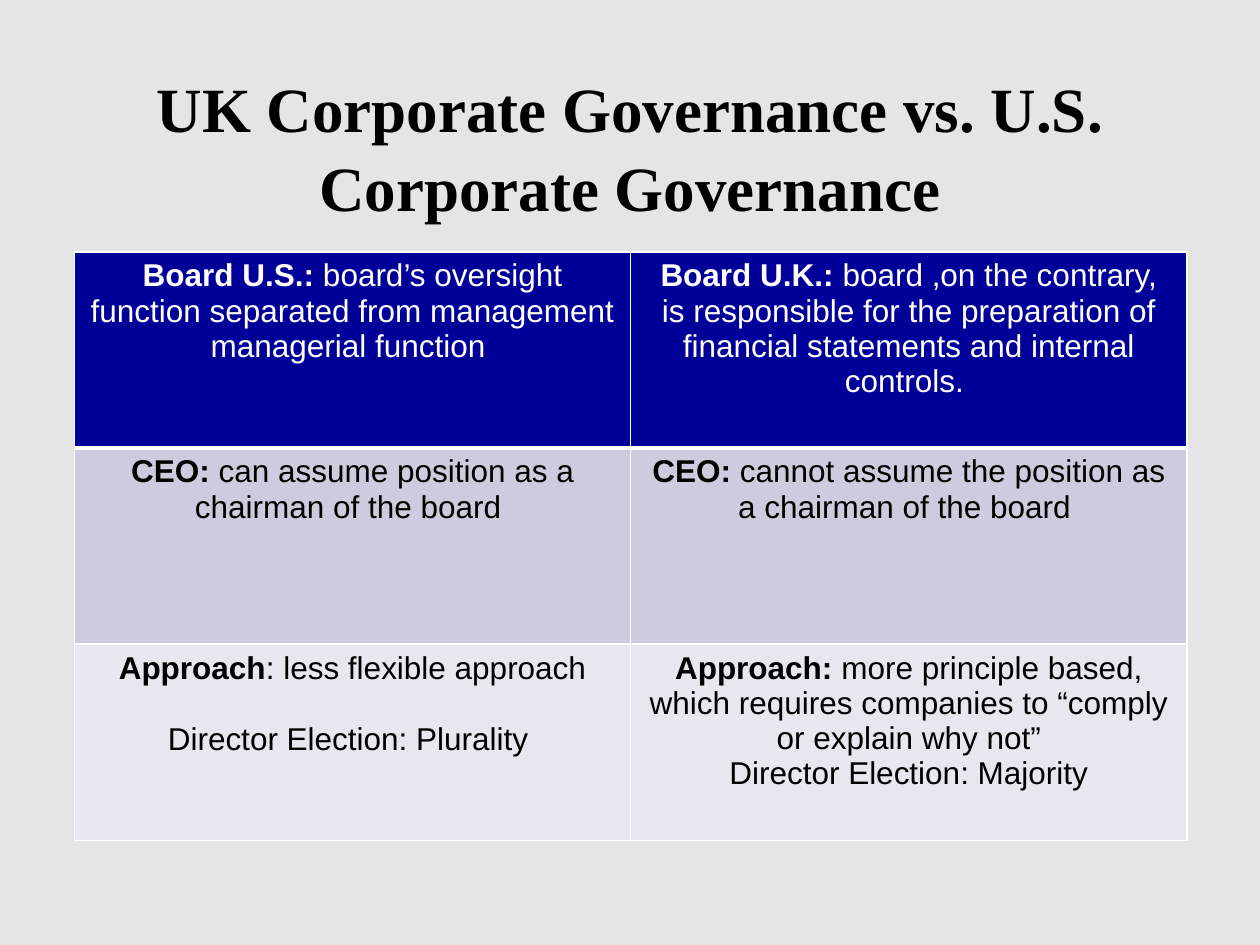
from dataclasses import dataclass

from lxml import etree
from pptx import Presentation
from pptx.dml.color import RGBColor
from pptx.enum import text
from pptx.oxml.ns import qn
from pptx.util import Inches, Pt

WIDTH, HEIGHT = Inches(10), Inches(7.5)
WHITE, BLACK = "FFFFFF", "000000"


@dataclass
class Line:
    label: str
    body: str
    space_before: float = 0


@dataclass
class Band:
    fill: str
    ink: str
    cells: list[list[Line]]


BANDS = [
    Band("000099", WHITE, [
        [Line("Board U.S.: ", "board’s oversight function separated from "
              "management managerial function ")],
        [Line("Board U.K.: ", "board ,on the contrary,"),
         Line("", "is responsible for the preparation of financial "
              "statements and internal controls. ")],
    ]),
    Band("CCCCDE", BLACK, [
        [Line("CEO: ", "can assume position as a chairman of the board ")],
        [Line("CEO: ", "cannot assume the position as a chairman of the board ")],
    ]),
    Band("E7E7EF", BLACK, [
        [Line("Approach", ": less flexible approach"),
         Line("", "Director Election: Plurality ", space_before=20.5)],
        [Line("Approach:", " more principle based, which requires companies to "
              "“comply or explain why not”"),
         Line("", "Director Election: Majority")],
    ]),
]


def color(value: str) -> RGBColor:
    return RGBColor.from_string(value)


def add_span(para, words: str, ink: str, **formats) -> None:
    span = para.add_run()
    span.text = words
    for name, value in formats.items():
        setattr(span.font, name, value)
    span.font.color.rgb = color(ink)


def set_borders(cell, widths: dict[str, float]) -> None:
    properties = cell._tc.get_or_add_tcPr()
    for position, (side, width) in enumerate(widths.items()):
        edge = etree.Element(qn(f"a:ln{side}"), w=str(Pt(width)))
        fill = etree.SubElement(edge, qn("a:solidFill"))
        etree.SubElement(fill, qn("a:srgbClr"), val=WHITE)
        properties.insert(position, edge)


def fill_cell(cell, lines: list[Line], band: Band) -> None:
    cell.fill.solid()
    cell.fill.fore_color.rgb = color(band.fill)
    frame = cell.text_frame
    for index, line in enumerate(lines):
        para = frame.add_paragraph() if index else frame.paragraphs[0]
        para.alignment = text.PP_ALIGN.CENTER
        if line.space_before:
            para.space_before = Pt(line.space_before)
        for words, bold in ((line.label, True), (line.body, False)):
            if words:
                add_span(para, words, band.ink, name="Arial", size=Pt(18), bold=bold)


def add_title(page, words: str) -> None:
    title = page.shapes.title
    place = dict(left=Inches(0.59), top=Inches(0.33),
                 width=Inches(8.82), height=Inches(1.5))
    for name, value in place.items():
        setattr(title, name, value)
    frame = title.text_frame
    formats = dict(word_wrap=True, auto_size=text.MSO_AUTO_SIZE.NONE,
                   vertical_anchor=text.MSO_ANCHOR.BOTTOM)
    for name, value in formats.items():
        setattr(frame, name, value)
    para = frame.paragraphs[0]
    para.alignment = text.PP_ALIGN.CENTER
    para.line_spacing = 1.05
    add_span(para, words, BLACK, name="Times New Roman", size=Pt(36), bold=True)


def add_comparison(page, bands: list[Band]) -> None:
    table = page.shapes.add_table(
        len(bands), len(bands[0].cells),
        Inches(0.59), Inches(2), Inches(8.83), Inches(4.67)).table
    for row, band in enumerate(bands):
        for column, lines in enumerate(band.cells):
            cell = table.cell(row, column)
            fill_cell(cell, lines, band)
            # A thicker rule parts the heading row from the rest
            set_borders(cell, {"L": 1, "R": 1, "T": 3 if row == 1 else 1,
                               "B": 3 if row == 0 else 1})


def main() -> None:
    deck = Presentation()
    deck.slide_width, deck.slide_height = WIDTH, HEIGHT
    page = deck.slides.add_slide(deck.slide_layouts[5])

    # Background
    page.background.fill.solid()
    page.background.fill.fore_color.rgb = color("E5E5E5")

    # Title and comparison table
    add_title(page, "UK Corporate Governance vs. U.S. Corporate Governance")
    add_comparison(page, BANDS)
    deck.save("out.pptx")


if __name__ == "__main__":
    main()
